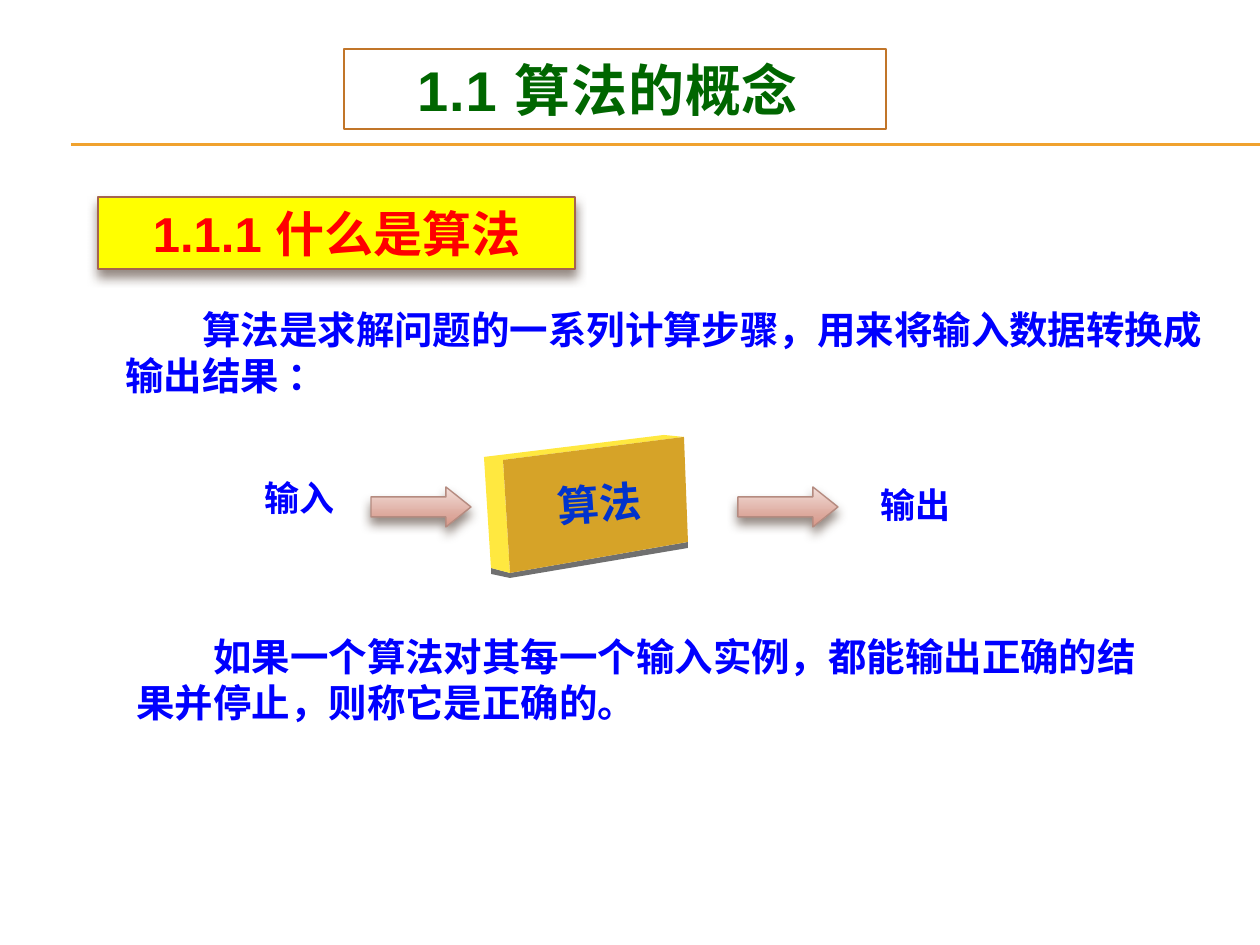
from lxml.etree import SubElement
from pptx import Presentation
from pptx.dml.color import RGBColor
from pptx.enum.shapes import MSO_CONNECTOR, MSO_SHAPE
from pptx.enum.text import MSO_ANCHOR, MSO_AUTO_SIZE, PP_ALIGN
from pptx.oxml.ns import qn
from pptx.util import Pt

PX = 914400 // 126
CJK = "Noto Sans CJK SC"
LINE_HEIGHT = 1.21
COLORS = {
    "title": "006600", "title_line": "C17529", "rule": "F0A22E",
    "heading": "FF0000", "heading_fill": "FFFF00", "heading_line": "A5644E",
    "body": "0000FF", "block_text": "0033CC", "block_front": "D6A328",
    "block_side": "FFE840", "block_base": "707070", "arrow_line": "B58B80",
    "shadow": "4E3B30",
}
ARROW_STOPS = [(0, "F3E0DB"), (72, "DCA79B"), (100, "D89787")]


def color(name):
    """Return the named palette colour."""
    return RGBColor.from_string(COLORS[name])


def emu(*lengths):
    """Turn px lengths into EMU."""
    return [length * PX for length in lengths]


def outline(shape, name):
    """Give a shape a thin outline."""
    shape.line.color.rgb = color(name)
    shape.line.width = Pt(0.79)


def cast_shadow(shape):
    """Add a soft shadow below a shape."""
    shape.shadow.inherit = False
    effects = shape._element.spPr.find(qn("a:effectLst"))
    shadow = SubElement(effects, qn("a:outerShdw"), blurRad=str(Pt(6)),
                        dist=str(Pt(4)), dir="5400000", rotWithShape="0")
    tint = SubElement(shadow, qn("a:srgbClr"), val=COLORS["shadow"])
    SubElement(tint, qn("a:alpha"), val="60000")


def write(shape, text, size, name, latin=CJK, align=PP_ALIGN.LEFT, indent=0):
    """Write one bold paragraph into a shape."""
    frame = shape.text_frame
    frame_format = {"word_wrap": True, "auto_size": MSO_AUTO_SIZE.NONE,
                    "vertical_anchor": MSO_ANCHOR.TOP}
    for key, value in frame_format.items():
        setattr(frame, key, value)
    paragraph = frame.paragraphs[0]
    paragraph.alignment = align
    paragraph.line_spacing = Pt(round(size * LINE_HEIGHT, 1))
    paragraph.space_before = Pt(0)
    paragraph._p.get_or_add_pPr().set("indent", str(Pt(indent)))
    run = paragraph.add_run()
    run.text = text
    for key, value in {"name": latin, "size": Pt(size), "bold": True}.items():
        setattr(run.font, key, value)
    run.font.color.rgb = color(name)
    SubElement(run._r.get_or_add_rPr(), qn("a:ea"), typeface=CJK)
    return run


def add_text(slide, box, text, size, name="body", **options):
    """Add a text box."""
    shape = slide.shapes.add_textbox(*emu(*box))
    write(shape, text, size, name, **options)
    return shape


def add_title(slide, box):
    """Place the framed title and the double rule under it."""
    left, top, width, height = box
    title = slide.shapes.title
    title.left, title.top, title.width, title.height = emu(*box)
    outline(title, "title_line")
    run = write(title, "1.1 算法的概念", 32, "title", "Arial", PP_ALIGN.CENTER)
    run._r.get_or_add_rPr().set("spc", "50")
    title.text_frame.margin_right = 27 * PX
    for y in (top + height + 15, top + height + 16):
        rule = slide.shapes.add_connector(MSO_CONNECTOR.STRAIGHT, *emu(71, y, 1260, y))
        rule.line.color.rgb = color("rule")
        rule.line.width = Pt(0.75)
        SubElement(rule._element.spPr, qn("a:effectLst"))


def add_heading(slide, box):
    """Place the yellow section heading."""
    heading = slide.shapes.add_shape(MSO_SHAPE.RECTANGLE, *emu(*box))
    heading.fill.solid()
    heading.fill.fore_color.rgb = color("heading_fill")
    outline(heading, "heading_line")
    cast_shadow(heading)
    write(heading, "1.1.1 什么是算法", 28, "heading", "Arial", PP_ALIGN.CENTER)


def add_arrow(slide, box):
    """Place one gradient arrow."""
    arrow = slide.shapes.add_shape(MSO_SHAPE.RIGHT_ARROW, *emu(*box))
    arrow.adjustments[1] = 0.626
    arrow.fill.gradient()
    arrow.fill.gradient_angle = 270
    stops = arrow._element.spPr.find(".//" + qn("a:gsLst"))
    for stop in list(stops):
        stops.remove(stop)
    for position, tint in ARROW_STOPS:
        stop = SubElement(stops, qn("a:gs"), pos=str(position * 1000))
        SubElement(stop, qn("a:srgbClr"), val=tint)
    outline(arrow, "arrow_line")
    cast_shadow(arrow)


def add_block(slide, left, top):
    """Draw the solid block and its tilted label."""
    faces = {
        "block_base": [(7, 133), (26, 138), (204, 107), (204, 113), (26, 143), (7, 139)],
        "block_side": [(0, 22), (180, 0), (200, 2), (19, 25), (26, 138), (7, 133)],
        "block_front": [(19, 25), (200, 2), (204, 107), (26, 138)],
    }
    for name, points in faces.items():
        corners = [(left + x, top + y) for x, y in points]
        builder = slide.shapes.build_freeform(*corners[0], scale=PX)
        builder.add_line_segments(corners[1:], close=True)
        face = builder.convert_to_shape()
        face.fill.solid()
        face.fill.fore_color.rgb = color(name)
        face.line.fill.background()
        face.shadow.inherit = False
    label = add_text(slide, (left + 50, top + 38, 130, 60), "算法", 24,
                     "block_text", align=PP_ALIGN.CENTER)
    label.text_frame.vertical_anchor = MSO_ANCHOR.MIDDLE
    label.rotation = -4


def add_flow(slide, left, top):
    """Place the flow from input through the block to output."""
    add_block(slide, left + 232, top)
    for x in (119, 486):
        add_arrow(slide, (left + x, top + 52, 100, 40))
    for x, y, text in ((0, 35, "输入"), (616, 42, "输出")):
        add_text(slide, (left + x, top + y, 100, 54), text, 20)


def main():
    """Build the slide."""
    presentation = Presentation()
    presentation.slide_width, presentation.slide_height = emu(1260, 945)
    slide = presentation.slides.add_slide(presentation.slide_layouts[5])
    add_title(slide, (344, 49, 542, 80))
    add_heading(slide, (98, 197, 477, 72))
    add_text(slide, (113, 299, 1111, 106),
             "算法是求解问题的一系列计算步骤，用来将输入数据转换成输出结果 ：", 22, indent=44)
    add_flow(slide, 252, 435)
    add_text(slide, (124, 626, 1042, 106),
             "如果一个算法对其每一个输入实例，都能输出正确的结果并停止，则称它是正确的。",
             22, indent=44)
    presentation.save("out.pptx")


if __name__ == "__main__":
    main()
